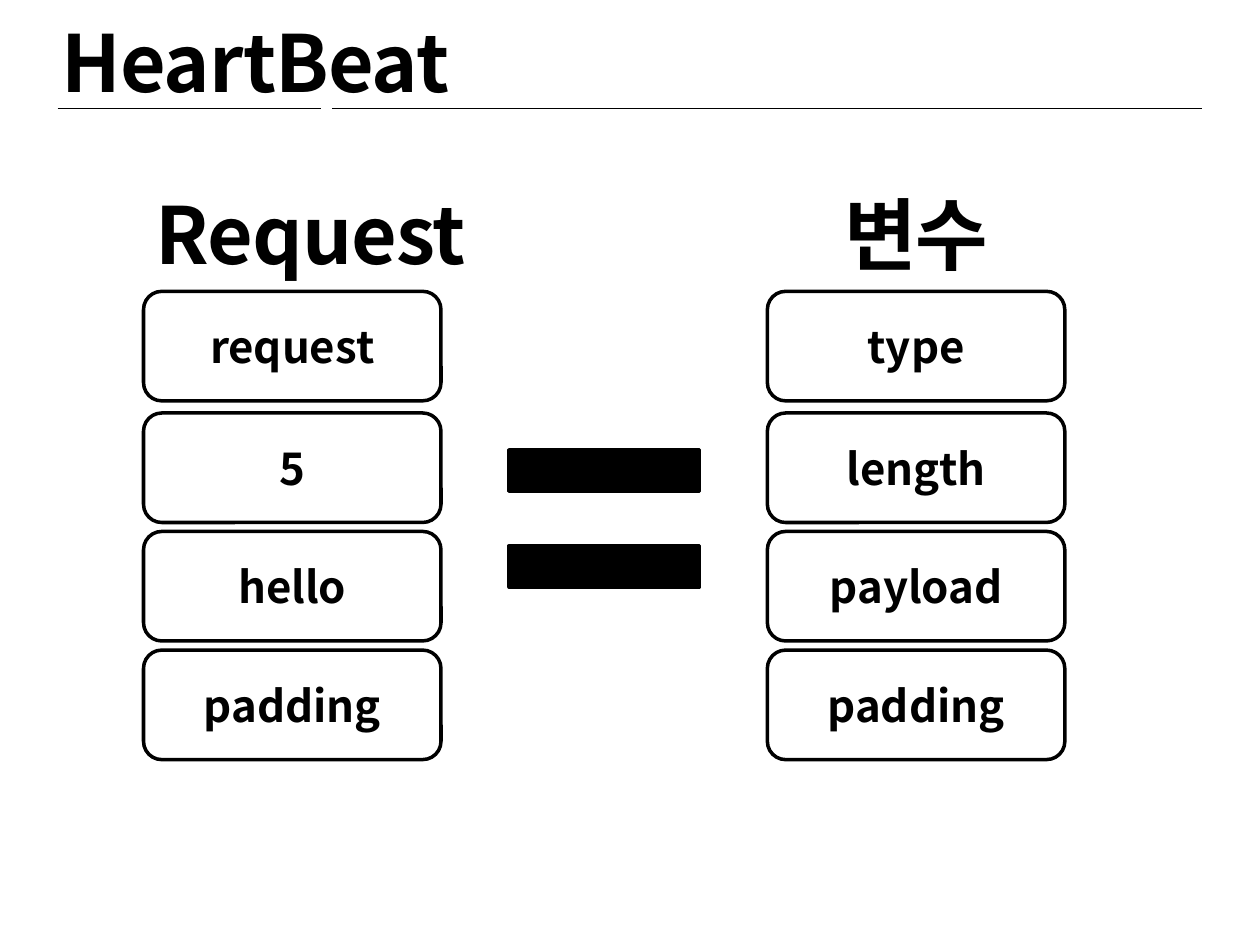
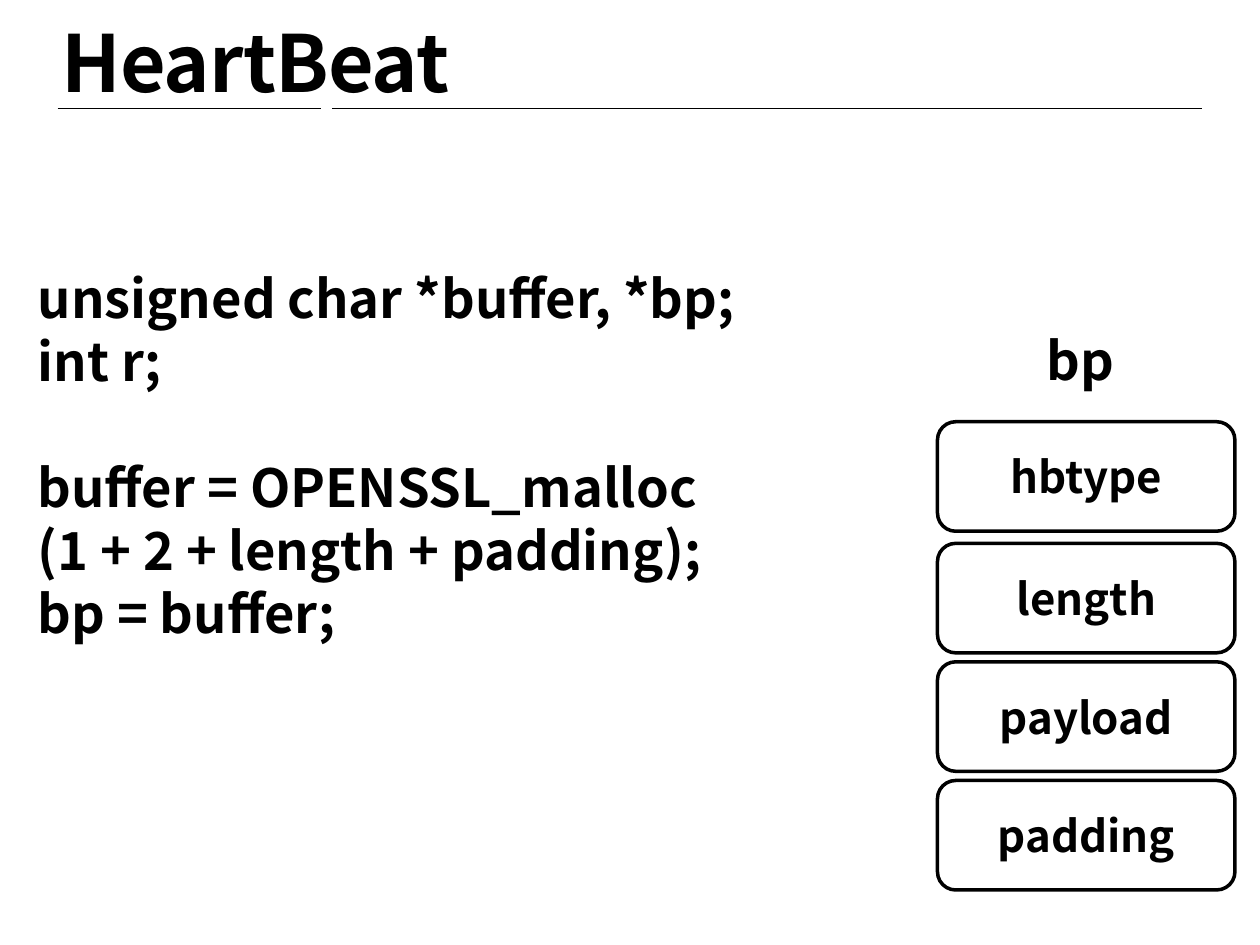
import pptx
import pptx.dml.color
import pptx.enum.shapes
import pptx.enum.text
import pptx.oxml.ns
import pptx.util
from lxml import etree

Pt = pptx.util.Pt
Shape = pptx.enum.shapes.MSO_SHAPE
Align = pptx.enum.text.PP_ALIGN

TITLE = "HeartBeat"
REQUEST_FIELDS = ["request", "5", "hello", "padding"]
VARIABLE_FIELDS = ["type", "length", "payload", "padding"]
BUFFER_FIELDS = ["hbtype", "length", "payload", "padding"]
# Each block of code is set off from the one before by one line of space.
CODE_BLOCKS = [
    ["unsigned char *buffer, *bp;", "int r;"],
    ["buffer = OPENSSL_malloc", "(1 + 2 + length + padding);", "bp = buffer;"],
]

FONT = "Noto Sans CJK KR"
BLACK, WHITE = "000000", "FFFFFF"
HEADING_SIZE, CODE_SIZE, FIELD_SIZE = 45, 30, 25
LINE_HEIGHT = 1.2
RULE_Y = 62
RULES = [(33, 183.7), (190, 687)]
FIELD_WIDTH, FIELD_HEIGHT = 170, 62.6
FIELD_OFFSETS = [0, 69.5, 137.2, 205]
EQUALS_TOPS = [257, 311.8]


def color(hex_text):
    return pptx.dml.color.RGBColor.from_string(hex_text)


def add_span(para, text, size, spacing=0):
    """Add a bold run, with the same typeface for Latin and Korean."""
    span = para.add_run()
    span.text = text
    span.font.size = Pt(size)
    span.font.bold = True
    span.font.name = FONT
    span.font.color.rgb = color(BLACK)
    properties = span.font._element
    if spacing:
        properties.set("spc", str(round(spacing * 100)))
    east_asian = etree.SubElement(properties, pptx.oxml.ns.qn("a:ea"))
    east_asian.set("typeface", FONT)


def add_text(page, blocks, left, top, width, height, size,
             align=Align.LEFT, spacing=0):
    """Add blocks of lines, one paragraph to a line."""
    box = page.shapes.add_textbox(Pt(left), Pt(top), Pt(width), Pt(height))
    frame = box.text_frame
    frame.word_wrap = True
    frame.margin_top = Pt(3.6 + size / 10)
    para = frame.paragraphs[0]
    for block_number, lines in enumerate(blocks):
        for line_number, line in enumerate(lines):
            if block_number or line_number:
                para = frame.add_paragraph()
            if block_number and line_number == 0:
                para.space_before = Pt(size * LINE_HEIGHT)
            para.alignment = align
            para.line_spacing = Pt(size * LINE_HEIGHT)
            add_span(para, line, size, spacing)


def add_heading(page, text, left, top, width, align=Align.LEFT):
    add_text(page, [[text]], left, top, width, 50.4, HEADING_SIZE, align, -0.5)


def add_block(page, kind, left, top, width, height, fill):
    block = page.shapes.add_shape(kind, Pt(left), Pt(top), Pt(width), Pt(height))
    block.shadow.inherit = False
    block.fill.solid()
    block.fill.fore_color.rgb = color(fill)
    block.line.color.rgb = color(BLACK)
    block.line.width = Pt(2)
    return block


def add_fields(page, fields, left, top):
    """Stack the fields of a message as rounded boxes."""
    for field, offset in zip(fields, FIELD_OFFSETS):
        box = add_block(page, Shape.ROUNDED_RECTANGLE, left, top + offset,
                        FIELD_WIDTH, FIELD_HEIGHT, WHITE)
        box.text_frame.vertical_anchor = pptx.enum.text.MSO_ANCHOR.MIDDLE
        para = box.text_frame.paragraphs[0]
        para.alignment = Align.CENTER
        add_span(para, field, FIELD_SIZE)


def add_page(deck):
    """Add a page with the title and the rules under it."""
    page = deck.slides.add_slide(deck.slide_layouts[6])
    for start, end in RULES:
        rule = page.shapes.add_connector(
            pptx.enum.shapes.MSO_CONNECTOR.STRAIGHT,
            Pt(start), Pt(RULE_Y), Pt(end), Pt(RULE_Y))
        rule.line.color.rgb = color(BLACK)
        rule.line.width = Pt(0.25)
        etree.SubElement(rule._element.spPr, pptx.oxml.ns.qn("a:effectLst"))
    add_heading(page, TITLE, 28, 0, 675)
    return page


def add_request_page(deck):
    page = add_page(deck)
    add_fields(page, VARIABLE_FIELDS, 438.5, 166.5)
    add_fields(page, REQUEST_FIELDS, 82, 166.5)
    add_heading(page, "Request", 82, 98, 193)
    add_heading(page, "변수", 427, 98, 193, Align.CENTER)
    for top in EQUALS_TOPS:
        add_block(page, Shape.RECTANGLE, 291, top, 108.7, 23.8, BLACK)


def add_buffer_page(deck):
    page = add_page(deck)
    add_text(page, CODE_BLOCKS, 14.4, 145.5, 675, 348, CODE_SIZE)
    add_fields(page, BUFFER_FIELDS, 535.7, 241)
    add_text(page, [["bp"]], 566, 181, 103, 44, CODE_SIZE, Align.CENTER)


def main():
    deck = pptx.Presentation()
    deck.slide_width, deck.slide_height = Pt(720), Pt(540)
    add_request_page(deck)
    add_buffer_page(deck)
    deck.save("out.pptx")


if __name__ == "__main__":
    main()
